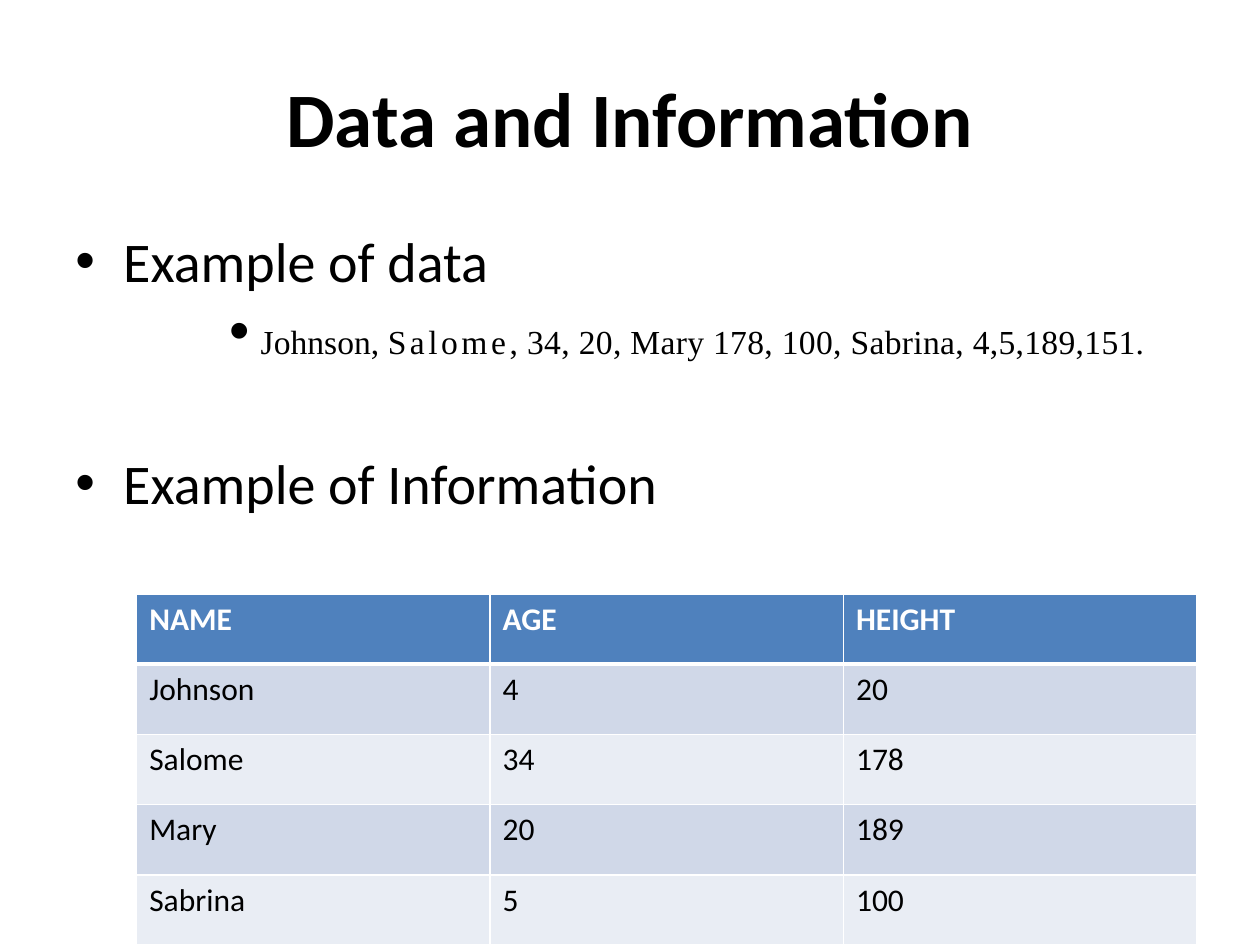
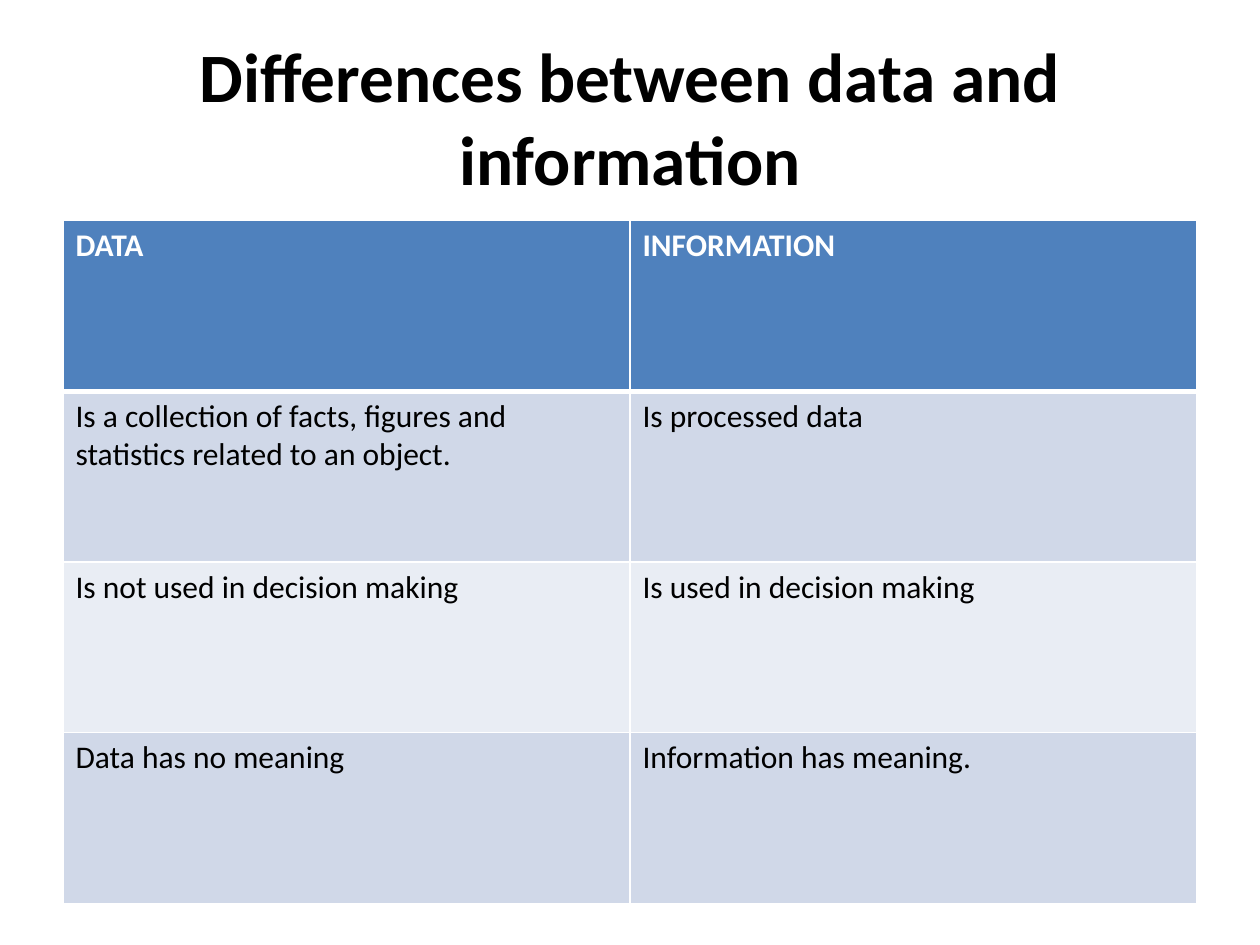
from dataclasses import dataclass
from typing import Optional

from lxml.etree import SubElement
from pptx import Presentation
from pptx.dml.color import RGBColor
from pptx.enum.text import MSO_ANCHOR, MSO_AUTO_SIZE, PP_ALIGN
from pptx.oxml.ns import qn
from pptx.util import Emu, Inches, Pt

COLORS = {
    "paper": "FFFFFF",
    "ink": "000000",
    "header": "4F81BD",
    "odd_row": "D0D8E8",
    "even_row": "E9EDF4",
}
SANS, SERIF = "Calibri", "Times New Roman"
SLIDE_WIDTH, SLIDE_HEIGHT = Inches(10), Inches(7.5)
COLUMN, ROW = SLIDE_WIDTH // 20, SLIDE_HEIGHT // 30


@dataclass(frozen=True)
class Area:
    """A rectangle in grid columns and rows."""
    left: float
    top: float
    width: float
    height: float

    def box(self) -> tuple[Emu, Emu, Emu, Emu]:
        """Return left, top, width and height as lengths."""
        return (Emu(round(self.left * COLUMN)), Emu(round(self.top * ROW)),
                Emu(round(self.width * COLUMN)), Emu(round(self.height * ROW)))


@dataclass(frozen=True)
class Span:
    """A piece of text with its tracking in points."""
    text: str
    tracking: float = 0


@dataclass(frozen=True)
class Bullet:
    """A bulleted paragraph, with lengths in inches and points."""
    spans: tuple[Span, ...]
    indent: float = 0.38
    hanging: float = 0.38
    before: float = 0
    size: float = 32
    font: str = SANS
    line: Optional[float] = None
    baseline: int = 0


@dataclass(frozen=True)
class Grid:
    """A table whose first row is the header."""
    area: Area
    rows: tuple[tuple[str, ...], ...]


@dataclass(frozen=True)
class Page:
    """The content of one slide."""
    title: str
    title_size: float
    table: Grid
    bullets: tuple[Bullet, ...] = ()


TITLE_AREA = Area(1, 1.2, 18, 5)
BODY_AREA = Area(1, 7, 18, 19.8)

PAGES = (
    Page(
        "Data and Information", 44,
        Grid(Area(2.17, 18.85, 16.83, 11.15), (
            ("NAME", "AGE", "HEIGHT"),
            ("Johnson", "4", "20"),
            ("Salome", "34", "178"),
            ("Mary", "20", "189"),
            ("Sabrina", "5", "100"),
        )),
        (
            Bullet((Span("Example of data"),)),
            Bullet((Span("J", 0.1), Span("ohnson, "), Span("Salome", 2),
                    Span(", 34, 20, Mary 178, 100, Sabrina, 4,5,189,151.", 0.2)),
                   indent=1.47, hanging=0.25, before=9.3, size=33.2,
                   font=SERIF, line=31.4, baseline=-1),
            Bullet((Span("Example of Information"),), before=47.5),
        ),
    ),
    Page(
        "Differences between data and information", 39.6,
        Grid(Area(1, 7, 18, 21.68), (
            ("DATA", "INFORMATION"),
            ("Is a collection of facts, figures and statistics related to an object.",
             "Is processed data"),
            ("Is not used in decision making", "Is used in decision making"),
            ("Data has no meaning", "Information has meaning."),
        )),
    ),
)


def add_run(paragraph, text: str, size: float, color: str = "ink",
            bold: bool = False, font: str = SANS):
    """Append a formatted run and return it."""
    run = paragraph.add_run()
    run.text = text
    run.font.size = Pt(size)
    run.font.name = font
    run.font.bold = bold
    run.font.color.rgb = RGBColor.from_string(COLORS[color])
    return run


def place_title(slide, text: str, size: float) -> None:
    """Position the title placeholder and fill it."""
    title = slide.shapes.title
    title.left, title.top, title.width, title.height = TITLE_AREA.box()
    frame = title.text_frame
    frame.auto_size = MSO_AUTO_SIZE.NONE
    frame.vertical_anchor = MSO_ANCHOR.MIDDLE
    frame.paragraphs[0].alignment = PP_ALIGN.CENTER
    add_run(frame.paragraphs[0], text, size, bold=True)


def write_bullet(paragraph, bullet: Bullet) -> None:
    """Write one bulleted paragraph."""
    paragraph.space_before = Pt(bullet.before)
    if bullet.line:
        paragraph.line_spacing = Pt(bullet.line)
    properties = paragraph._p.get_or_add_pPr()
    properties.set("marL", str(Inches(bullet.indent)))
    properties.set("indent", str(-Inches(bullet.hanging)))
    SubElement(properties, qn("a:buFont"), typeface="Arial")
    SubElement(properties, qn("a:buChar"), char="•")
    for span in bullet.spans:
        run = add_run(paragraph, span.text, bullet.size, font=bullet.font)
        run_properties = run._r.get_or_add_rPr()
        run_properties.set("spc", str(round(span.tracking * 100)))
        run_properties.set("baseline", str(bullet.baseline * 1000))


def add_bullets(slide, bullets: tuple[Bullet, ...]) -> None:
    """Add the list of bulleted paragraphs."""
    frame = slide.shapes.add_textbox(*BODY_AREA.box()).text_frame
    frame.word_wrap = True
    for index, bullet in enumerate(bullets):
        paragraph = frame.add_paragraph() if index else frame.paragraphs[0]
        write_bullet(paragraph, bullet)


def set_borders(cell, row: int) -> None:
    """Rule a cell in white, heavier below the header."""
    properties = cell._tc.get_or_add_tcPr()
    widths = {"lnL": 1, "lnR": 1, "lnT": 3 if row == 1 else 1,
              "lnB": 3 if row == 0 else 1}
    for side, width in widths.items():
        border = SubElement(properties, qn(f"a:{side}"), w=str(Pt(width)))
        fill = SubElement(border, qn("a:solidFill"))
        SubElement(fill, qn("a:srgbClr"), val=COLORS["paper"])


def add_grid(slide, grid: Grid) -> None:
    """Add a table with equal columns and equal banded rows."""
    column_count, row_count = len(grid.rows[0]), len(grid.rows)
    left, top, width, height = grid.area.box()
    table = slide.shapes.add_table(
        row_count, column_count, left, top, width, height).table
    for column in table.columns:
        column.width = Emu(width // column_count)
    for row, texts in enumerate(grid.rows):
        table.rows[row].height = Emu(height // row_count)
        is_header = row == 0
        band = "header" if is_header else "odd_row" if row % 2 else "even_row"
        for column, text in enumerate(texts):
            cell = table.cell(row, column)
            set_borders(cell, row)
            cell.fill.solid()
            cell.fill.fore_color.rgb = RGBColor.from_string(COLORS[band])
            add_run(cell.text_frame.paragraphs[0], text, 18,
                    "paper" if is_header else "ink", is_header)


def main() -> None:
    """Build and save the presentation."""
    deck = Presentation()
    deck.slide_width, deck.slide_height = SLIDE_WIDTH, SLIDE_HEIGHT
    title_only = deck.slide_layouts.get_by_name("Title Only")
    for page in PAGES:
        slide = deck.slides.add_slide(title_only)
        slide.background.fill.solid()
        slide.background.fill.fore_color.rgb = RGBColor.from_string(COLORS["paper"])
        place_title(slide, page.title, page.title_size)
        if page.bullets:
            add_bullets(slide, page.bullets)
        add_grid(slide, page.table)
    deck.save("out.pptx")


if __name__ == "__main__":
    main()
